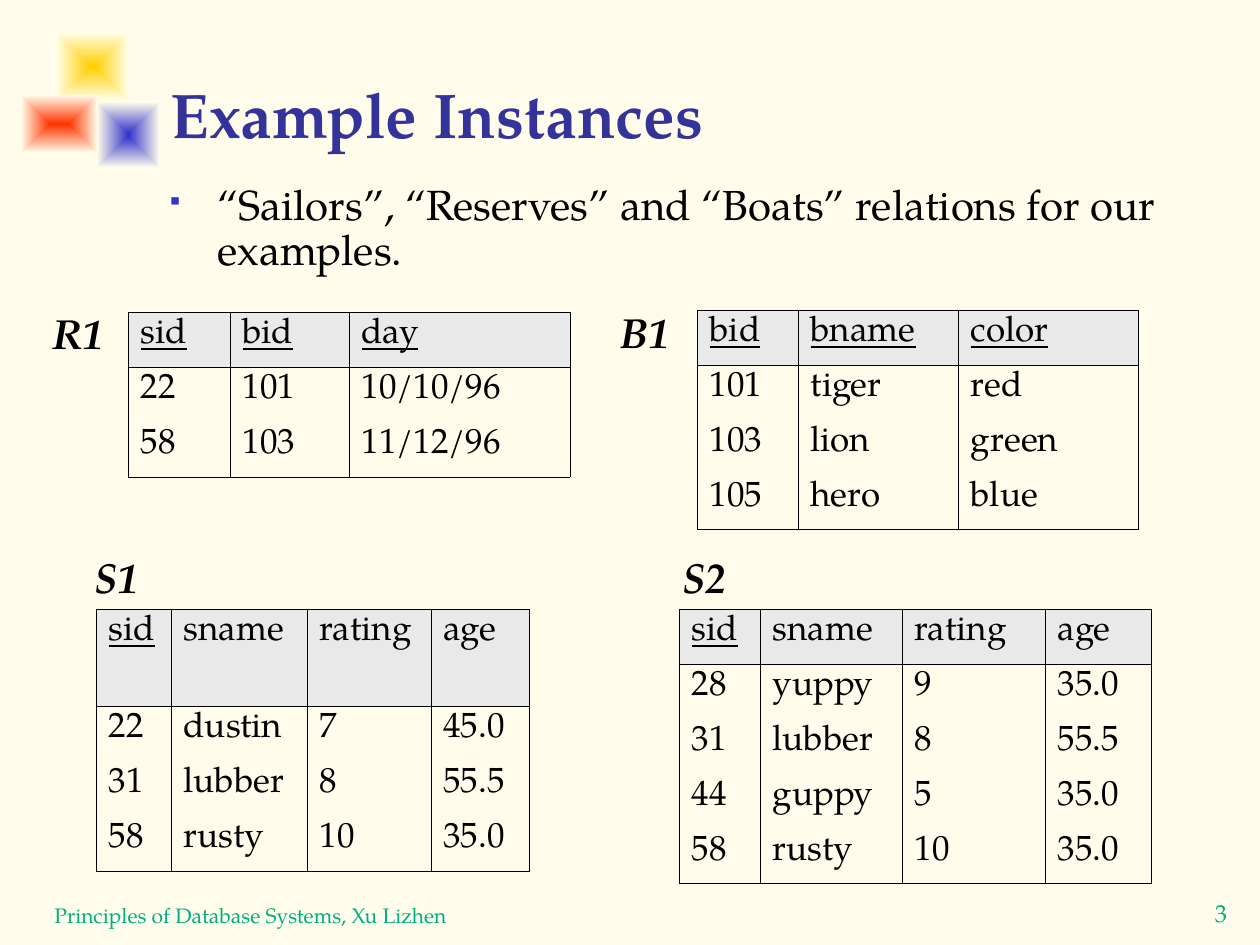
from lxml import etree
from pptx import Presentation
from pptx import util as u
from pptx.dml.color import RGBColor
from pptx.enum import shapes, text
from pptx.oxml.ns import qn

SCALE = 914400 / 126
ROW = 55
INK, CREAM, GREY, GREEN, BLUE = "000000", "FFFCEB", "E9E9E9", "00AE80", "3333CC"


def px(length):
    return u.Emu(round(length * SCALE))


def color(value):
    return RGBColor.from_string(value)


def add(parent, tag, **attributes):
    return etree.SubElement(parent, qn(tag), attributes)


def write(frame, words, size=20, ink=INK, bold=False, italic=False,
          underline=False, align=text.PP_ALIGN.LEFT, anchor=text.MSO_ANCHOR.TOP,
          wrap=True, grow=False, font="TeX Gyre Pagella"):
    frame.word_wrap = wrap
    frame.auto_size = text.MSO_AUTO_SIZE.SHAPE_TO_FIT_TEXT if grow else text.MSO_AUTO_SIZE.NONE
    frame.vertical_anchor = anchor
    para = frame.paragraphs[0]
    para.alignment = align
    span = para.add_run()
    span.text = words
    span.font.name = font
    span.font.size = u.Pt(size)
    span.font.bold = bold
    span.font.italic = italic
    span.font.underline = underline
    span.font.color.rgb = color(ink)
    return para


class Page:
    """Holds the style and the current slide."""

    def __init__(self, deck):
        self.slide = deck.slides.add_slide(deck.slide_layouts[5])
        self.slide.background.fill.solid()
        self.slide.background.fill.fore_color.rgb = color(CREAM)

    def glow(self, box, center):
        square = self.slide.shapes.add_shape(shapes.MSO_SHAPE.RECTANGLE, *map(px, box))
        square.shadow.inherit = False
        square.line.fill.background()
        square.fill.gradient()
        for stop, shade in zip(square.fill.gradient_stops, (center, "FFFEEB")):
            stop.color.rgb = color(shade)
        gradient = square._element.spPr.find(qn("a:gradFill"))
        gradient.remove(gradient.find(qn("a:lin")))
        path = add(gradient, "a:path", path="rect")
        add(path, "a:fillToRect", l="50000", t="50000", r="50000", b="50000")

    def title(self, box, words):
        holder = self.slide.shapes.title
        holder.left, holder.top, holder.width, holder.height = map(px, box)
        write(holder.text_frame, words, size=36, ink="333399", bold=True,
              anchor=text.MSO_ANCHOR.BOTTOM)

    def text(self, box, words, **style):
        holder = self.slide.shapes.add_textbox(*map(px, box))
        return write(holder.text_frame, words, **style)

    def bullet(self, box, words):
        para = self.text(box, words, size=24)
        para.line_spacing = 0.9
        properties = para._p.get_or_add_pPr()
        properties.set("marL", str(px(48)))
        properties.set("indent", str(-px(48)))
        add(add(properties, "a:buClr"), "a:srgbClr", val=BLUE)
        add(properties, "a:buSzPct", val="60000")
        add(properties, "a:buFont", typeface="Wingdings", charset="2")
        add(properties, "a:buChar", char="§")

    def borders(self, cell, sides):
        properties = cell._tc.get_or_add_tcPr()
        for place, side in enumerate("LRTB"):
            line = etree.Element(qn("a:ln" + side), w=str(u.Pt(0.45)))
            if side in sides:
                add(add(line, "a:solidFill"), "a:srgbClr", val=INK)
            else:
                add(line, "a:noFill")
            properties.insert(place, line)

    def relation(self, name, name_at, table_at, widths, rows, keys=1, header=ROW):
        self.text((*name_at, 86, 63), name, size=24, bold=True, italic=True)
        heights = [header] + [ROW] * (len(rows) - 1)
        frame = self.slide.shapes.add_table(
            len(rows), len(widths), *map(px, (*table_at, sum(widths), sum(heights))))
        table = frame.table
        table.first_row = table.horz_banding = False
        for column, width in zip(table.columns, widths):
            column.width = px(width)
        for i, (values, height) in enumerate(zip(rows, heights)):
            table.rows[i].height = px(height)
            for j, value in enumerate(values.split()):
                cell = table.cell(i, j)
                if i == 0:
                    cell.fill.solid()
                    cell.fill.fore_color.rgb = color(GREY)
                else:
                    cell.fill.background()
                top = "T" if i < 2 else ""
                bottom = "B" if i in (0, len(rows) - 1) else ""
                self.borders(cell, "LR" + top + bottom)
                write(cell.text_frame, value, underline=i == 0 and j < keys)


def main():
    deck = Presentation()
    deck.slide_width, deck.slide_height = px(1260), px(945)
    page = Page(deck)
    page.glow((56, 32, 73, 69), "FFCF01")
    page.glow((97, 102, 63, 66), BLUE)
    page.glow((21, 95, 77, 58), "FF3300")
    page.text((1146, 892, 150, 48), "3", size=14, ink=GREEN, wrap=False,
              grow=True, align=text.PP_ALIGN.CENTER)
    page.text((42, 871, 819, 63), "Principles of Database Systems, Xu Lizhen",
              size=12, ink=GREEN, anchor=text.MSO_ANCHOR.BOTTOM)
    page.title((158, 21, 1074, 136), "Example Instances")
    page.bullet((157, 178, 1071, 108),
                "“Sailors”, “Reserves” and “Boats” relations for our examples.")
    page.relation("R1", (40, 301), (128, 312), (102, 119, 221),
                  ("sid bid day", "22 101 10/10/96", "58 103 11/12/96"), keys=3)
    page.relation("B1", (608, 300), (697, 310), (101, 160, 180),
                  ("bid bname color", "101 tiger red", "103 lion green",
                   "105 hero blue"), keys=3)
    page.relation("S1", (82, 545), (96, 609), (75, 136, 124, 99),
                  ("sid sname rating age", "22 dustin 7 45.0",
                   "31 lubber 8 55.5", "58 rusty 10 35.0"), header=97)
    page.relation("S2", (670, 545), (679, 609), (81, 142, 143, 106),
                  ("sid sname rating age", "28 yuppy 9 35.0", "31 lubber 8 55.5",
                   "44 guppy 5 35.0", "58 rusty 10 35.0"))
    deck.save("out.pptx")


if __name__ == "__main__":
    main()
